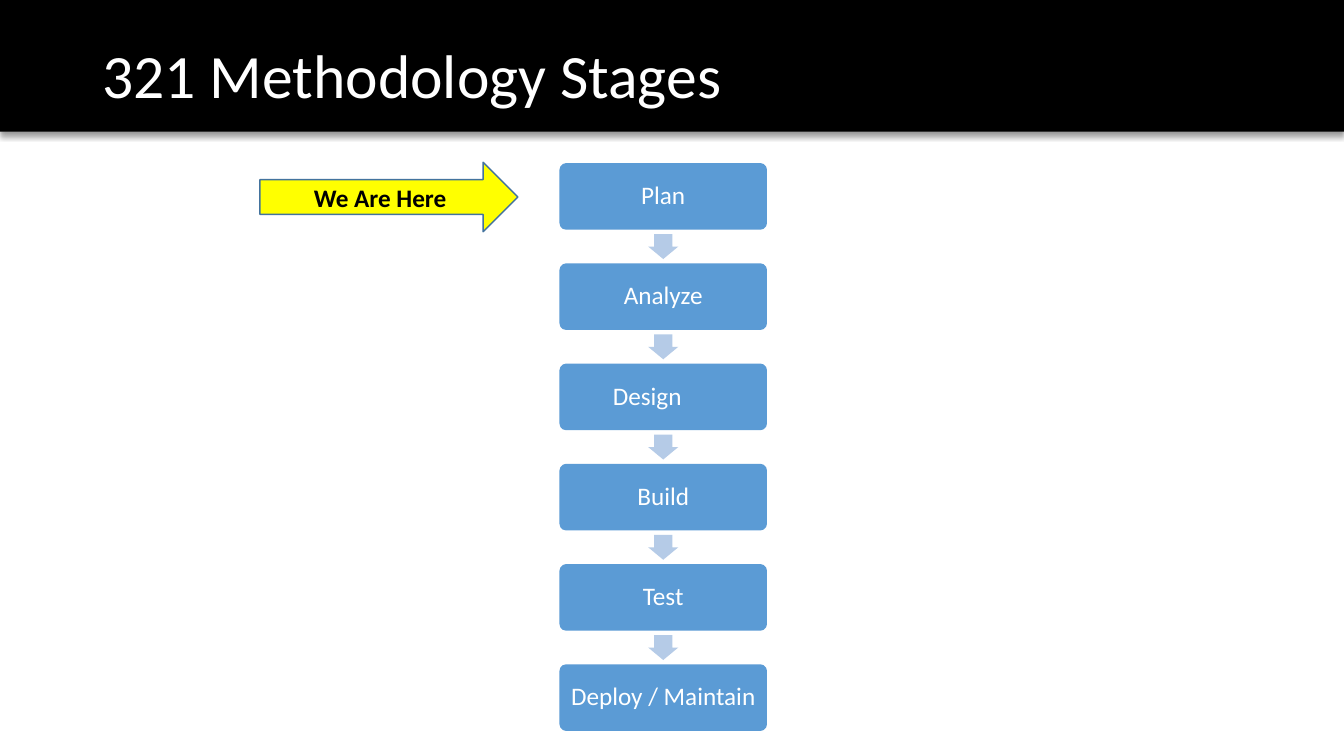
from lxml.etree import SubElement
from pptx import Presentation
from pptx.dml.color import RGBColor
from pptx.enum.shapes import MSO_SHAPE
from pptx.enum.text import MSO_ANCHOR, PP_ALIGN
from pptx.oxml.ns import qn
from pptx.util import Cm, Pt

TITLE = "321 Methodology Stages"
STAGES = ["Plan", "Analyze", "Design\t", "Build", "Test", "Deploy / Maintain"]
MARK = "We Are Here"

WIDE, HIGH = 33.87, 19.05
BOX_W, BOX_H = 5.23, 1.68
LEFT, FIRST, LAST = 14.1, 4.11, 16.74
TIP_W, TIP_H = 0.76, 0.63
INSET = 0.23


def paint(color, value):
    color.rgb = RGBColor.from_string(value)


def add_form(kind, x, y, w, h, fill, adjust=()):
    form = slide.shapes.add_shape(kind, Cm(x), Cm(y), Cm(w), Cm(h))
    form.shadow.inherit = False
    form.fill.solid()
    paint(form.fill.fore_color, fill)
    form.line.fill.background()
    for i, value in enumerate(adjust):
        form.adjustments[i] = value
    return form


def write(form, text, size, color, align, anchor, space=0.9, bold=False):
    frame = form.text_frame
    frame.word_wrap = True
    frame.vertical_anchor = anchor
    frame.text = text
    para = frame.paragraphs[0]
    para.alignment = align
    para.line_spacing = space
    for run in para.runs:
        run.font.name = "Calibri"
        run.font.size = Pt(size)
        run.font.bold = bold
        paint(run.font.color, color)
    return frame


def add_shade(form):
    effects = form._element.spPr.find(qn("a:effectLst"))
    shade = SubElement(effects, qn("a:outerShdw"), blurRad=str(Pt(4)),
                       dist=str(Pt(3)), dir="5400000", algn="t", rotWithShape="0")
    black = SubElement(shade, qn("a:srgbClr"), val="000000")
    SubElement(black, qn("a:alpha"), val="40000")


deck = Presentation()
deck.slide_width, deck.slide_height = Cm(WIDE), Cm(HIGH)
slide = deck.slides.add_slide(deck.slide_layouts[6])

band = add_form(MSO_SHAPE.RECTANGLE, 0, 0, WIDE, 3.32, "000000")
add_shade(band)
title = slide.shapes.add_textbox(Cm(2.33), Cm(1.02), Cm(29.21), Cm(2.3))
write(title, TITLE, 44, "FFFFFF", PP_ALIGN.LEFT, MSO_ANCHOR.TOP)

pitch = (LAST - FIRST) / (len(STAGES) - 1)
gap = pitch - BOX_H
for i, stage in enumerate(STAGES):
    top = FIRST + i * pitch
    if i:
        add_form(MSO_SHAPE.DOWN_ARROW, LEFT + (BOX_W - TIP_W) / 2,
                 top - (gap + TIP_H) / 2, TIP_W, TIP_H, "B5CBE7", (0.6, 0.5))
    box = add_form(MSO_SHAPE.ROUNDED_RECTANGLE, LEFT, top, BOX_W, BOX_H,
                   "5B9BD5", (0.1,))
    frame = write(box, stage, 18, "FFFFFF", PP_ALIGN.CENTER, MSO_ANCHOR.MIDDLE)
    frame.margin_left = frame.margin_right = Cm(INSET)
    frame.margin_top = frame.margin_bottom = Cm(INSET)

mark = add_form(MSO_SHAPE.RIGHT_ARROW, 6.55, 4.09, 6.5, 1.75, "FFFF00")
paint(mark.line.color, "43739E")
mark.line.width = Pt(1)
write(mark, MARK, 18, "000000", PP_ALIGN.CENTER, MSO_ANCHOR.MIDDLE, 1.0, True)

deck.save("out.pptx")
